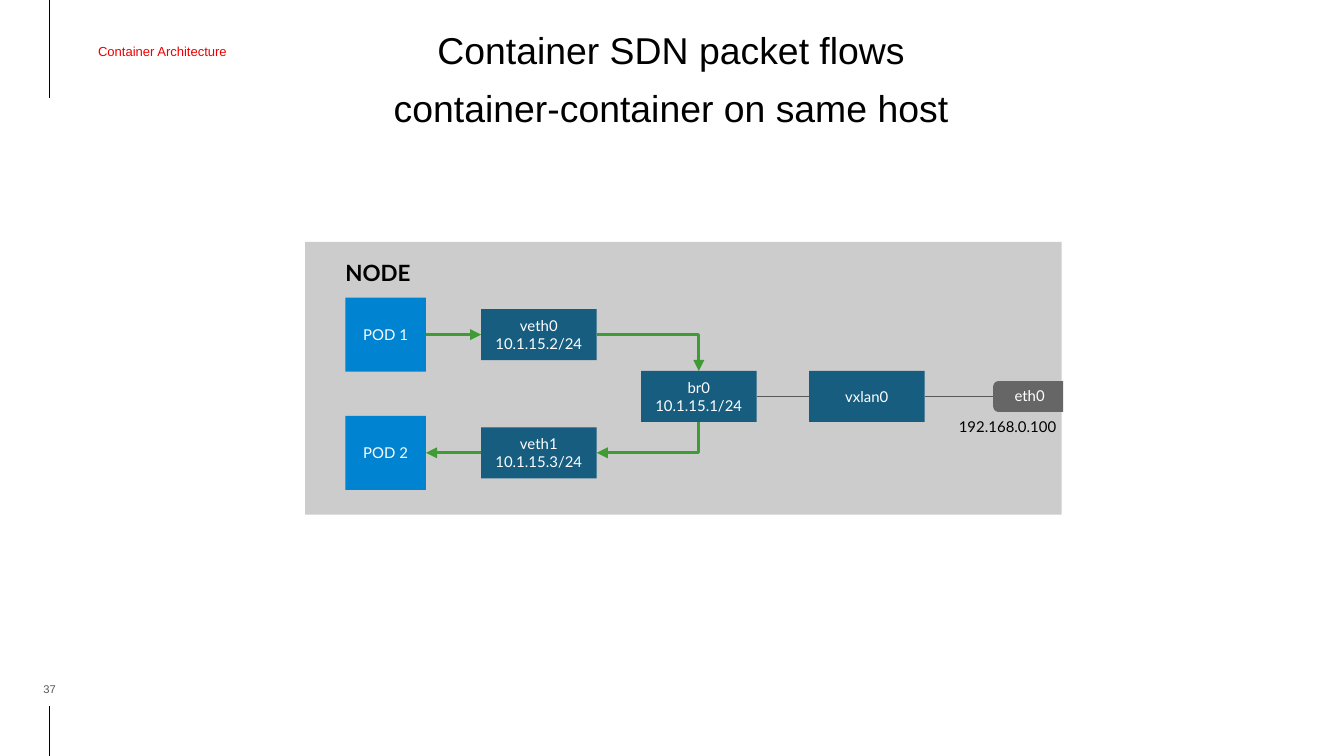
from dataclasses import dataclass

from lxml import etree
from pptx import Presentation
from pptx.dml.color import RGBColor
from pptx.enum.shapes import MSO_CONNECTOR, MSO_SHAPE
from pptx.enum.text import MSO_ANCHOR, MSO_AUTO_SIZE, PP_ALIGN
from pptx.oxml.ns import qn
from pptx.util import Inches, Pt

RECT, TAB = MSO_SHAPE.RECTANGLE, MSO_SHAPE.ROUND_2_SAME_RECTANGLE
STRAIGHT, ELBOW = MSO_CONNECTOR.STRAIGHT, MSO_CONNECTOR.ELBOW
TOP, MIDDLE, BOTTOM = MSO_ANCHOR.TOP, MSO_ANCHOR.MIDDLE, MSO_ANCHOR.BOTTOM
LEFT, CENTER, RIGHT = PP_ALIGN.LEFT, PP_ALIGN.CENTER, PP_ALIGN.RIGHT
WEST, EAST = 1, 3

WIDE = 10
HIGH = WIDE * 9 / 16
# Centre lines of the diagram
COL = {"pod": 2.87, "veth": 4.01, "bridge": 5.2, "vxlan": 6.45, "eth": 7.65}
ROW = {"out": 2.49, "mid": 2.95, "back": 3.37}
POD, LINK, PORT = (0.6, 0.55), (0.86, 0.38), (0.23, 0.52)


@dataclass(frozen=True)
class Theme:
    sans: str = "Arial"
    lato: str = "Lato"
    black: str = "000000"
    white: str = "FFFFFF"
    red: str = "EE0000"
    panel: str = "CCCCCC"
    pod: str = "0084D1"
    link: str = "165D80"
    port: str = "666666"
    gray: str = "595959"
    flow: str = "3F9C35"
    title: int = 20
    head: int = 12
    label: int = 8
    tag: int = 7
    page: int = 6
    thin: float = 0.75
    thick: float = 1.5


THEME = Theme()


def color(value):
    return RGBColor.from_string(value)


def assign(item, **values):
    for name, value in values.items():
        setattr(item, name, value)


def write(shape, text, size, ink, face=THEME.lato, align=LEFT, anchor=TOP,
          inset=(0.1,) * 4, bold=False, space=1.0):
    """Fill a shape with text; inset runs left, top, right, bottom."""
    frame = shape.text_frame
    frame.text = text
    left, top, right, bottom = map(Inches, inset)
    assign(frame, word_wrap=True, auto_size=MSO_AUTO_SIZE.NONE,
           vertical_anchor=anchor, margin_left=left, margin_top=top,
           margin_right=right, margin_bottom=bottom)
    for para in frame.paragraphs:
        assign(para, alignment=align, line_spacing=space, space_before=Pt(0))
        assign(para.font, name=face, size=Pt(size), bold=bold)
        para.font.color.rgb = color(ink)


def note(slide, area, text, size, ink, **style):
    box = slide.shapes.add_textbox(*map(Inches, area))
    write(box, text, size, ink, **style)


def block(slide, area, fill, kind=RECT):
    shape = slide.shapes.add_shape(kind, *map(Inches, area))
    shape.shadow.inherit = False
    shape.fill.solid()
    shape.fill.fore_color.rgb = color(fill)
    shape.line.fill.background()
    return shape


def around(col, row, size):
    """Area of the given size centred on a column and a row."""
    wide, high = size
    return COL[col] - wide / 2, ROW[row] - high / 2, wide, high


def node(slide, col, row, size, fill, text):
    shape = block(slide, around(col, row, size), fill)
    write(shape, text, THEME.label, THEME.white, align=CENTER, anchor=MIDDLE,
          inset=(0.05,) * 4)
    return shape


def line(slide, start, end, ink, width, kind=STRAIGHT, arrow=False):
    link = slide.shapes.add_connector(kind, *map(Inches, start + end))
    link.line.color.rgb = color(ink)
    link.line.width = Pt(width)
    if arrow:
        etree.SubElement(link.line._get_or_add_ln(), qn("a:tailEnd"), type="triangle")
    etree.SubElement(link._element.spPr, qn("a:effectLst"))
    return link


def join(slide, first, second, ink, width, sides=(EAST, WEST), arrow=False):
    link = line(slide, (0, 0), (1, 1), ink, width, arrow=arrow)
    link.begin_connect(first, sides[0])
    link.end_connect(second, sides[1])


def bend(slide, start, end, turn=0):
    """One-corner arrow; a quarter turn makes it go down first, then left."""
    (x1, y1), (x2, y2) = start, end
    if turn:
        midx, midy = (x1 + x2) / 2, (y1 + y2) / 2
        wide, high = abs(y2 - y1), abs(x2 - x1)
        start = midx - wide / 2, midy - high / 2
        end = midx + wide / 2, midy + high / 2
    link = line(slide, start, end, THEME.flow, THEME.thick, ELBOW, arrow=True)
    props = link._element.spPr
    props.find(qn("a:prstGeom")).set("prst", "bentConnector2")
    if turn:
        props.find(qn("a:xfrm")).set("rot", str(turn * 60000))


def frame(slide):
    """Title, side rules, section name and page number."""
    title = slide.shapes.title
    assign(title, left=Inches(0.9), top=0, width=Inches(8.19), height=Inches(1.16))
    write(title, "Container SDN packet flows\ncontainer-container on same host",
          THEME.title, THEME.black, THEME.sans, CENTER, space=1.3)
    for start, end in ((0.73, 0), (HIGH, 5.25)):
        line(slide, (0.37, start), (0.37, end), THEME.black, THEME.thin)
    note(slide, (0.37, 0.05, 4.22, 0.67), "Container Architecture", THEME.tag,
         THEME.red, face=THEME.sans, anchor=MIDDLE, inset=(0.36, 0.07, 0.07, 0.07))
    note(slide, (0.07, 5.06, 0.6, 0.12), "37", THEME.page, THEME.gray,
         face=THEME.sans, align=CENTER, anchor=BOTTOM, inset=(0,) * 4)


def diagram(slide):
    panel = block(slide, (2.27, 1.8, 5.63, 2.03), THEME.panel)
    write(panel, "NODE", THEME.head, THEME.black, bold=True, space=1.15,
          inset=(0.3, 0.1, 0.1, 0.1))

    bridge = node(slide, "bridge", "mid", LINK, THEME.link, "br0\v10.1.15.1/24")
    vxlan = node(slide, "vxlan", "mid", LINK, THEME.link, "vxlan0")
    lanes = (("out", "POD 1", "veth0\v10.1.15.2/24"),
             ("back", "POD 2", "veth1\v10.1.15.3/24"))
    for row, name, label in lanes:
        pod = node(slide, "pod", row, POD, THEME.pod, name)
        veth = node(slide, "veth", row, LINK, THEME.link, label)
        ends, sides = (pod, veth), (EAST, WEST)
        if row == "back":
            ends, sides = ends[::-1], sides[::-1]
        join(slide, *ends, THEME.flow, THEME.thick, sides, arrow=True)

    port = block(slide, around("eth", "mid", PORT), THEME.port, TAB)
    port.rotation = 270
    note(slide, (7.45, 2.78, 0.52, 0.23), "eth0", THEME.label, THEME.white)
    note(slide, (7, 3.01, 0.96, 0.28), "192.168.0.100", THEME.label,
         THEME.black, align=RIGHT)

    edge = COL["veth"] + LINK[0] / 2
    half = LINK[1] / 2
    bend(slide, (edge, ROW["out"]), (COL["bridge"], ROW["mid"] - half))
    bend(slide, (COL["bridge"], ROW["mid"] + half), (edge, ROW["back"]), turn=90)
    join(slide, bridge, vxlan, THEME.gray, THEME.thin)
    tail = line(slide, (0, 0), (COL["eth"] - PORT[1] / 2, ROW["mid"]),
                THEME.gray, THEME.thin)
    tail.begin_connect(vxlan, EAST)


def main():
    deck = Presentation()
    assign(deck, slide_width=Inches(WIDE), slide_height=Inches(HIGH))
    slide = deck.slides.add_slide(deck.slide_layouts[5])
    frame(slide)
    diagram(slide)
    deck.save("out.pptx")


if __name__ == "__main__":
    main()
